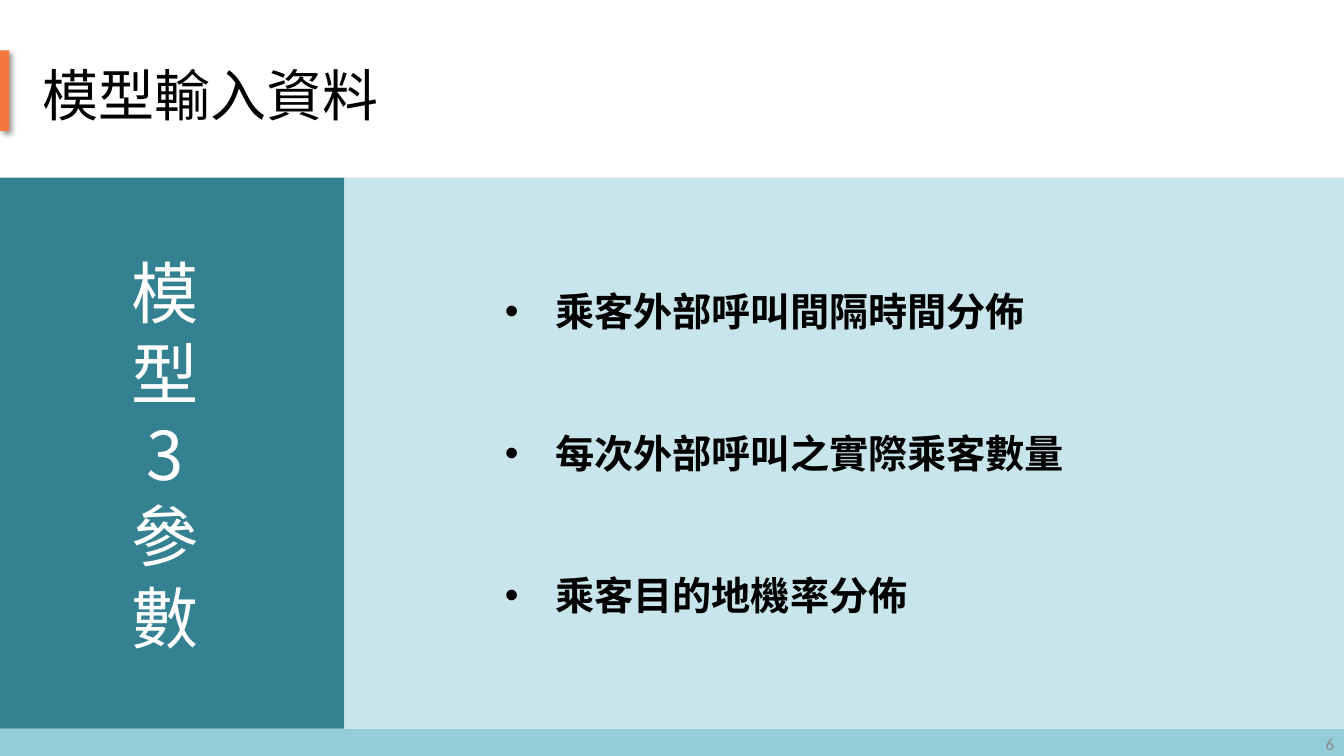
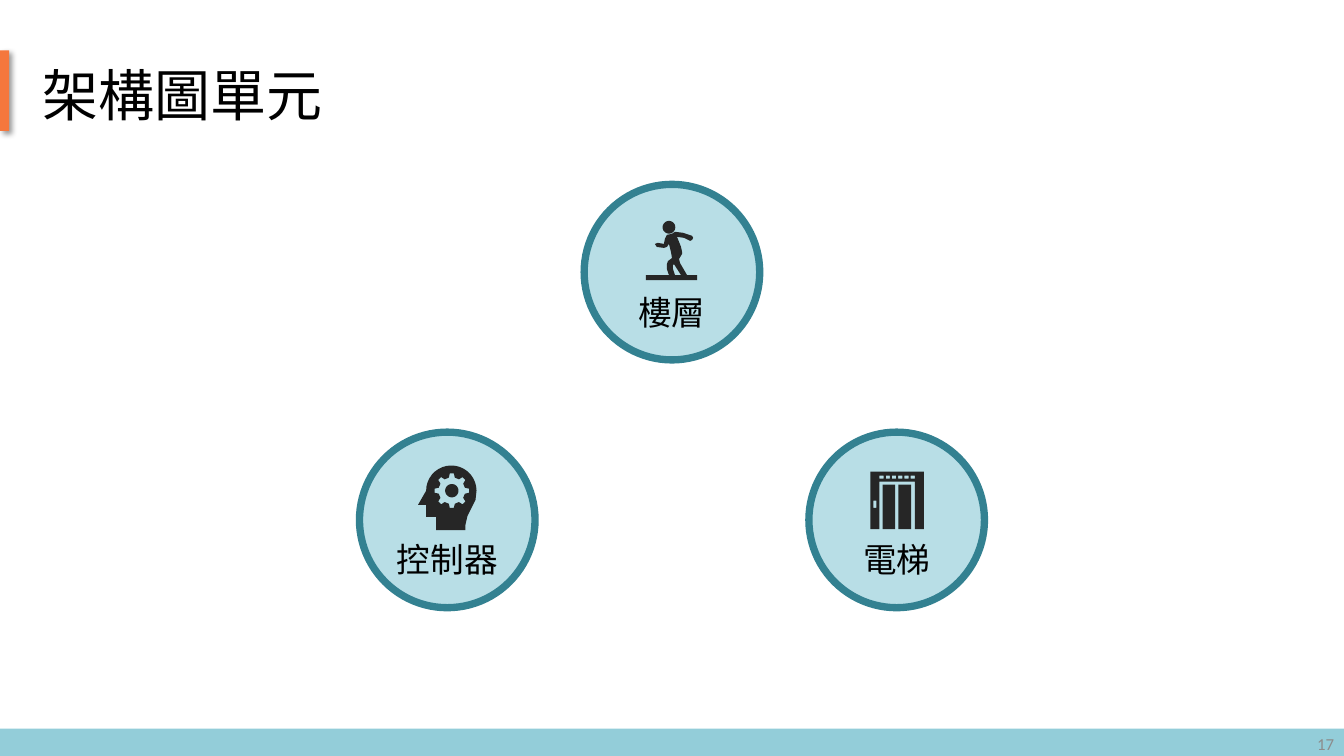
import math

import lxml.etree
import pptx
import pptx.dml.color
import pptx.enum.shapes
import pptx.enum.text
import pptx.oxml.ns
import pptx.util

COLORS = {
    "band": "93CDD9",
    "number": "8C8C8C",
    "marker": "F5773D",
    "teal": "338191",
    "panel": "C7E5EB",
    "disc": "B8DEE6",
    "icon": "262626",
    "ink": "000000",
    "white": "FFFFFF",
}
COLUMNS, ROWS = 160, 90
CELL = pptx.util.Inches(1 / 12)
ICON_UNIT = 0.12  # icon outlines are drawn in hundredths of an inch
CJK = "Noto Sans CJK JP"
BAND_TOP = 86.75
PANEL_TOP, PANEL_SPLIT = 21.15, 41
DISC = 20.9

ALIGN = pptx.enum.text.PP_ALIGN
SHAPE = pptx.enum.shapes.MSO_SHAPE
qn = pptx.oxml.ns.qn


def rgb(name):
    return pptx.dml.color.RGBColor.from_string(COLORS[name])


def cells(*counts):
    return [round(count * CELL) for count in counts]


def set_all(target, values):
    for attribute, value in values.items():
        setattr(target, attribute, value)


def rectangle(left, top, right, bottom):
    return [(left, top), (right, top), (right, bottom), (left, bottom)]


def arc(center, radius, start=0, end=360, step=10):
    return [(center[0] + radius * math.cos(math.radians(angle)),
             center[1] + radius * math.sin(math.radians(angle)))
            for angle in range(start, end + 1, step)]


def gear(center, teeth=8):
    """Outline of a cog: each tooth has a wide base and a narrow tip."""
    corners = [(-13, 13.3), (-6.7, 17.2), (6.7, 17.2), (13, 13.3)]
    outline = []
    for tooth in range(teeth):
        for offset, radius in corners:
            angle = math.radians(tooth * 360 / teeth + offset)
            outline.append((center[0] + radius * math.cos(angle),
                            center[1] + radius * math.sin(angle)))
    return outline


def walker_icon():
    body = [
        (-26, 3), (-3, 3), (-5, -3), (-5, -8), (-4, -11), (0, -14),
        (-1, -20), (-3, -28), (-5, -25), (-8, -24), (-15, -25), (-17, -28),
        (-14, -29), (-8, -28), (-7, -33), (-5, -37), (0, -38), (3, -40),
        (11, -39), (20, -36), (21, -34), (20, -32), (18, -31), (12, -34),
        (5, -35), (7, -30), (9, -25), (10, -20), (10, -18), (7, -13),
        (8, -9), (15, 3), (25, 3), (25, 8), (-26, 8),
    ]
    between_legs = [(2, -8), (1, -7), (1, -3), (3, 3), (9, 3)]
    return [body, between_legs, arc((-3, -44.5), 6.3)]


def thinker_icon():
    hub = (4.5, -29)
    face = [(28, -20), (24, -12), (20, -4), (18, 5), (18, 10), (-11, 10),
            (-11, -3), (-21, -3), (-21, -15), (-29, -15)]
    return [arc((4, -29), 25, 180, 360) + face, gear(hub), arc(hub, 6.6)]


def lift_icon():
    frame = [(-26, -48), (27, -48), (27, 9), (18, 9), (18, -38),
             (-17, -38), (-17, 9), (-26, 9)]
    doors = [rectangle(left, -35, left + 12.5, 9) for left in (-14, 1.8)]
    lamps = [rectangle(left, -44, left + 4, -41)
             for left in (-17 + 6.2 * lamp for lamp in range(6))]
    return [frame, rectangle(-23, -19, -20, -12)] + doors + lamps


class Deck:
    """Keeps the house style and the slide being built."""

    def __init__(self):
        self.show = pptx.Presentation()
        self.show.slide_width, self.show.slide_height = cells(COLUMNS, ROWS)

    def start(self, layout, title, number):
        self.slide = self.show.slides.add_slide(self.show.slide_layouts[layout])
        self.shapes = self.slide.shapes
        heading = self.shapes.title
        self.place(heading, 3.85, 6.6, 150, 9.25)
        self.fill_text(heading, [title], 40)
        self.shape((0, BAND_TOP, COLUMNS, ROWS - BAND_TOP), "band")
        self.text((124, 86.2, 36, 4.8), [str(number)], 12, "number",
                  "Calibri", ALIGN.RIGHT)
        self.cast_shadow(self.shape((0, 6, 1.1, 9.6), "marker"))

    def place(self, item, *box):
        set_all(item, dict(zip(("left", "top", "width", "height"), cells(*box))))

    def fill_text(self, item, lines, size, color="ink", font=CJK,
                  align=ALIGN.LEFT, bold=False, spacing=None, gap=0):
        frame = item.text_frame
        set_all(frame, {
            "word_wrap": True,
            "auto_size": pptx.enum.text.MSO_AUTO_SIZE.NONE,
            "vertical_anchor": pptx.enum.text.MSO_ANCHOR.MIDDLE,
        })
        for index, line in enumerate(lines):
            paragraph = frame.add_paragraph() if index else frame.paragraphs[0]
            set_all(paragraph, {
                "alignment": align,
                "line_spacing": pptx.util.Pt(spacing) if spacing else None,
                "space_before": pptx.util.Pt(gap if index else 0),
            })
            run = paragraph.add_run()
            run.text = line
            set_all(run.font, {"size": pptx.util.Pt(size), "bold": bold,
                               "name": font})
            run.font.color.rgb = rgb(color)
            latin = run.font._element.find(qn("a:latin"))
            latin.addnext(lxml.etree.Element(qn("a:ea"), typeface=CJK))

    def text(self, box, lines, *style, **options):
        item = self.shapes.add_textbox(*cells(*box))
        self.fill_text(item, lines, *style, **options)

    def paint(self, item, fill, line=None, width=0):
        item.shadow.inherit = False
        item.fill.solid()
        item.fill.fore_color.rgb = rgb(fill)
        if line:
            item.line.color.rgb = rgb(line)
            item.line.width = pptx.util.Pt(width)
        else:
            item.line.fill.background()
        return item

    def shape(self, box, fill, kind=SHAPE.RECTANGLE, **outline):
        return self.paint(self.shapes.add_shape(kind, *cells(*box)),
                          fill, **outline)

    def cast_shadow(self, item):
        effects = item._element.spPr.find(qn("a:effectLst"))
        shadow = lxml.etree.SubElement(
            effects, qn("a:outerShdw"), blurRad=str(pptx.util.Pt(4)),
            dist=str(pptx.util.Pt(3)), dir="2700000", algn="tl",
            rotWithShape="0")
        tone = lxml.etree.SubElement(shadow, qn("a:srgbClr"), val=COLORS["ink"])
        lxml.etree.SubElement(tone, qn("a:alpha"), val="40000")

    def bullets(self, box, items):
        body = self.slide.placeholders[1]
        body._element.getparent().append(body._element)  # in front of panels
        self.place(body, *box)
        self.fill_text(body, items, 28, font="Calibri", bold=True, spacing=34,
                       gap=67.5)
        indent = pptx.util.Inches(0.5)
        for paragraph in body.text_frame.paragraphs:
            properties = paragraph._p.get_or_add_pPr()
            properties.set("marL", str(indent))
            properties.set("indent", str(-indent))

    def icon(self, center, contours):
        """One filled outline; contours inside others become holes."""
        def point(x, y):
            return cells(center[0] + x * ICON_UNIT, center[1] + y * ICON_UNIT)

        builder = None
        for contour in contours:
            first, *rest = [point(*corner) for corner in contour]
            if builder is None:
                builder = self.shapes.build_freeform(*first)
            else:
                builder.move_to(*first)
            builder.add_line_segments(rest, close=True)
        self.paint(builder.convert_to_shape(), "icon")

    def unit(self, center, label, contours):
        """A ringed disc with an icon above its label, as one group."""
        self.shapes = self.slide.shapes.add_group_shape().shapes
        x, y = center
        self.shape((x - DISC / 2, y - DISC / 2, DISC, DISC), "disc",
                   SHAPE.OVAL, line="teal", width=5.25)
        self.text((x - 8, y + 1.7, 16, 6), [label], 24, "ink", "Calibri",
                  ALIGN.CENTER)
        self.icon(center, contours)
        self.shapes = self.slide.shapes


def build_inputs(deck):
    deck.start(1, "模型輸入資料", 6)
    height = BAND_TOP - PANEL_TOP
    deck.shape((0, PANEL_TOP, PANEL_SPLIT, height), "teal")
    deck.shape((PANEL_SPLIT, PANEL_TOP, COLUMNS - PANEL_SPLIT, height), "panel")
    deck.text((13.7, 29, 12, 50), list("模型3參數"), 48, "white",
              align=ALIGN.CENTER, spacing=58)
    deck.bullets((58.9, 33.5, 80, 40.8), [
        "乘客外部呼叫間隔時間分佈",
        "每次外部呼叫之實際乘客數量",
        "乘客目的地機率分佈",
    ])


def build_units(deck):
    deck.start(5, "架構圖單元", 17)
    middle, spread = COLUMNS / 2, 26.75
    upper, lower = 32.4, 61.9
    deck.unit((middle, upper), "樓層", walker_icon())
    deck.unit((middle - spread, lower), "控制器", thinker_icon())
    deck.unit((middle + spread, lower), "電梯", lift_icon())


def main():
    deck = Deck()
    build_inputs(deck)
    build_units(deck)
    deck.show.save("out.pptx")


if __name__ == "__main__":
    main()
